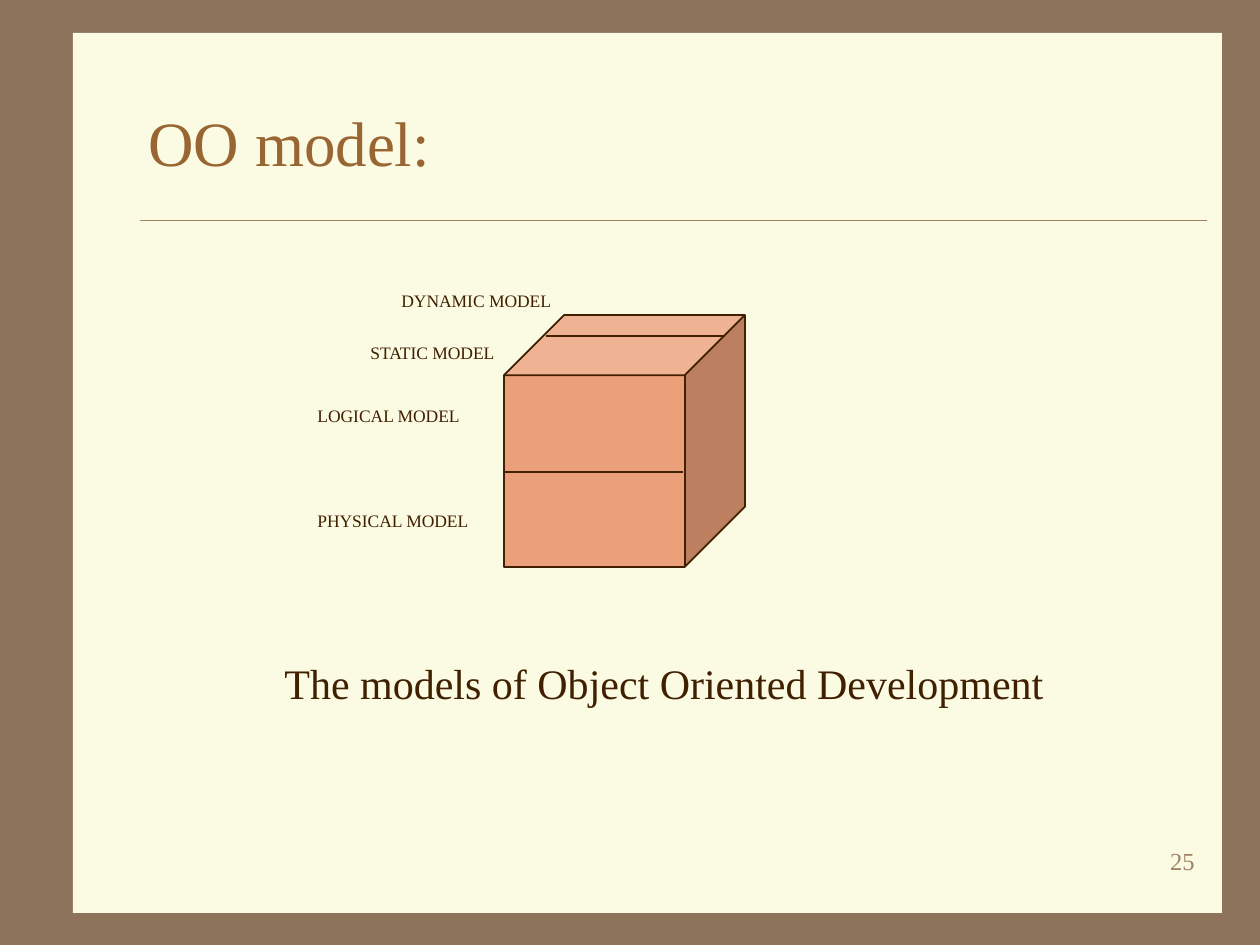
import pptx
import pptx.dml.color
import pptx.enum.shapes
import pptx.enum.text
import pptx.oxml.ns
import pptx.util
from lxml import etree

EMU_PER_PX = 914400 / 126
INK = "402000"
MUTED = "A08366"
SHAPES = pptx.enum.shapes.MSO_SHAPE
ALIGN = pptx.enum.text.PP_ALIGN
ANCHOR = pptx.enum.text.MSO_ANCHOR


def px(*lengths):
    return [round(length * EMU_PER_PX) for length in lengths]


def color(hex_value):
    return pptx.dml.color.RGBColor.from_string(hex_value)


presentation = pptx.Presentation()
presentation.slide_width, presentation.slide_height = px(1260, 945)
slide = presentation.slides.add_slide(presentation.slide_layouts[6])


def add_text(text, box, size, hex_value=INK, align=ALIGN.LEFT, anchor=ANCHOR.TOP, wrap=True):
    shape = slide.shapes.add_textbox(*px(*box))
    frame = shape.text_frame
    frame.word_wrap = wrap
    frame.vertical_anchor = anchor
    paragraph = frame.paragraphs[0]
    paragraph.alignment = align
    run = paragraph.add_run()
    run.text = text
    run.font.name = "Times New Roman"
    run.font.size = pptx.util.Pt(size)
    run.font.color.rgb = color(hex_value)


# Background and page panel
slide.background.fill.solid()
slide.background.fill.fore_color.rgb = color("8C735A")
panel = slide.shapes.add_shape(SHAPES.RECTANGLE, *px(73, 33, 1149, 880))
panel.shadow.inherit = False
panel.fill.solid()
panel.fill.fore_color.rgb = color("FBFAE2")
panel.line.fill.background()

# Title
add_text("OO model:", (136, 63, 1071, 157), 36, "996633", anchor=ANCHOR.MIDDLE)

# Model cube
cube = slide.shapes.add_shape(SHAPES.CUBE, *px(504, 315, 241, 252))
cube.shadow.inherit = False
cube.adjustments[0] = 0.25
cube.fill.solid()
cube.fill.fore_color.rgb = color("ECA07A")
cube.line.color.rgb = color(INK)
cube.line.width = pptx.util.Pt(1)

# Title rule and the lines dividing the cube's front and top: left, right, y
for left, right, y, hex_value, width in (
    (140, 1207, 220, MUTED, 0.25),
    (504, 683, 472, INK, 1),
    (546, 725, 336, INK, 1),
):
    line = slide.shapes.add_connector(
        pptx.enum.shapes.MSO_CONNECTOR.STRAIGHT, *px(left, y, right, y))
    line.line.color.rgb = color(hex_value)
    line.line.width = pptx.util.Pt(width)
    etree.SubElement(line._element.spPr, pptx.oxml.ns.qn("a:effectLst"))

# Model labels
for text, left, top, width in (
    ("DYNAMIC MODEL", 389, 284, 175),
    ("STATIC MODEL", 358, 336, 152),
    ("LOGICAL MODEL", 305, 399, 168),
    ("PHYSICAL MODEL", 305, 504, 176),
):
    add_text(text, (left, top, width, 34), 10, wrap=False)

# Caption and page number
add_text("The models of Object Oriented Development", (264, 651, 800, 63), 24,
         align=ALIGN.CENTER, wrap=False)
add_text("25", (945, 840, 262, 63), 14, MUTED, align=ALIGN.RIGHT)

presentation.save("out.pptx")
